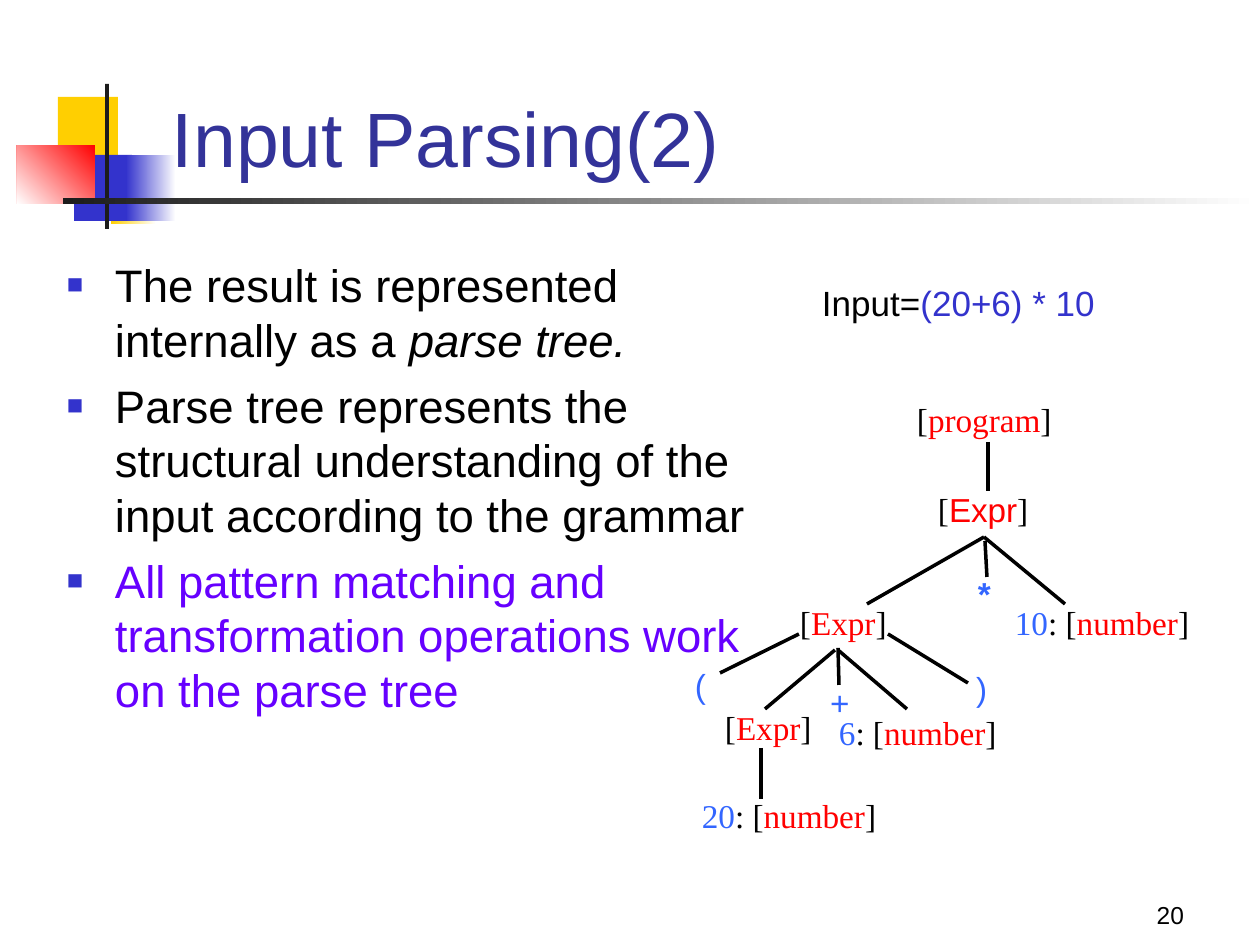
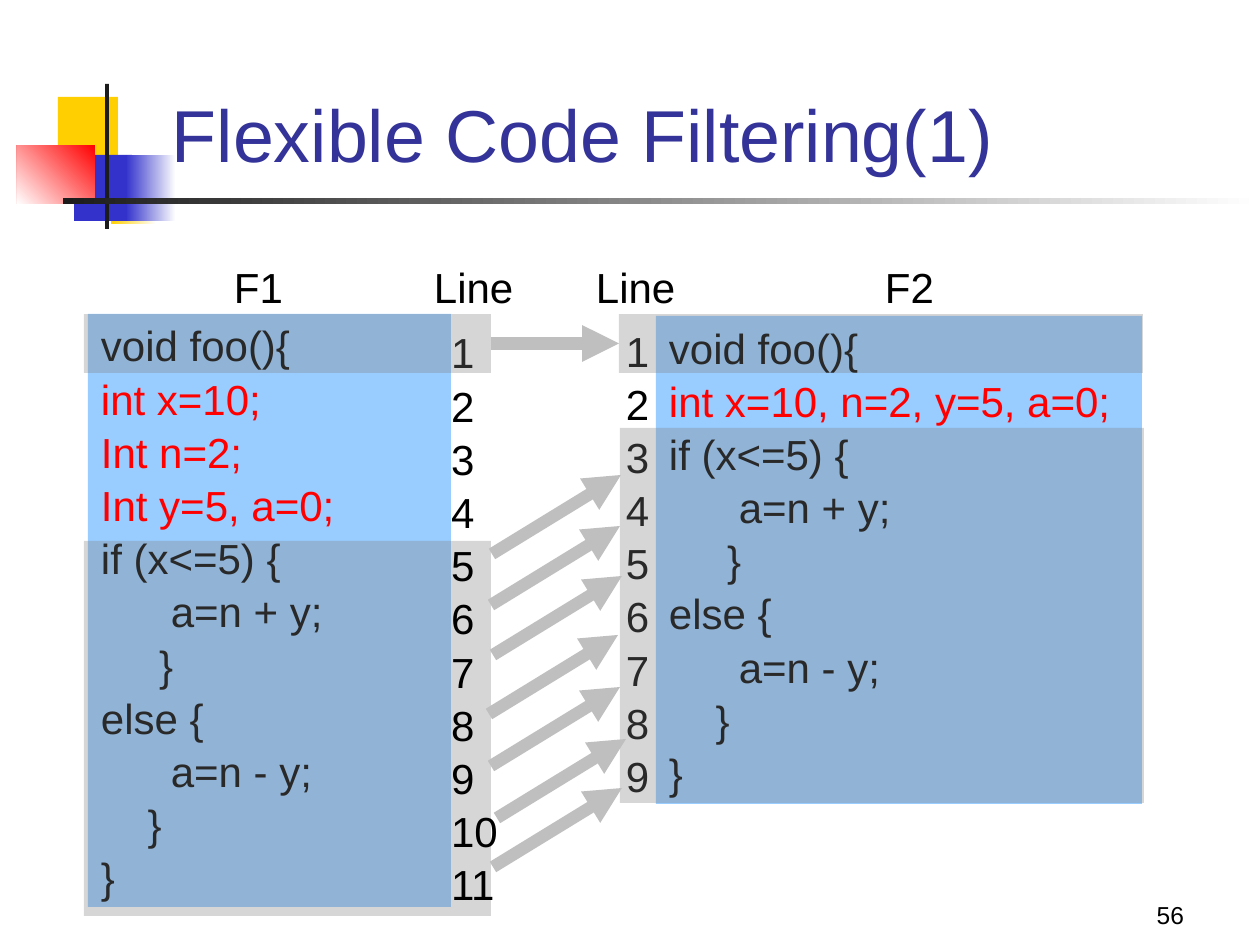
"""Builds two slides: a parse tree and a line matching between two code versions."""
from lxml import etree
from pptx import Presentation
from pptx import util as u
from pptx.dml.color import RGBColor
from pptx.enum import shapes, text
from pptx.oxml import ns

BLACK = RGBColor(0x00, 0x00, 0x00)
WHITE = RGBColor(0xFF, 0xFF, 0xFF)
RED = RGBColor(0xFF, 0x00, 0x00)
YELLOW = RGBColor(0xFF, 0xCF, 0x01)
BLUE = RGBColor(0x33, 0x33, 0xCC)
TITLE_BLUE = RGBColor(0x33, 0x33, 0x99)
TOKEN_BLUE = RGBColor(0x33, 0x66, 0xFF)
VIOLET = RGBColor(0x66, 0x00, 0xFF)
CODE_BLUE = RGBColor(0x99, 0xCC, 0xFF)
CHARCOAL = RGBColor(0x1C, 0x1C, 0x1C)
SHADE = RGBColor(0x80, 0x80, 0x80)
ARROW = RGBColor(0xBF, 0xBF, 0xBF)

SANS, SERIF = "Arial", "Times New Roman"
LEADING = 1.2
INSET_X, INSET_Y = 13, 6

EMBLEM = [
    ((58, 97, 60, 66), YELLOW, None, 0),
    ((111, 159, 45, 65), WHITE, YELLOW, 180),
    ((74, 155, 58, 66), BLUE, None, 0),
    ((126, 155, 50, 66), WHITE, BLUE, 180),
    ((17, 145, 78, 59), RED, WHITE, 225),
    ((105, 84, 4, 145), CHARCOAL, None, 0),
    ((63, 198, 1197, 6), WHITE, CHARCOAL, 180),
]
PAGE_BOX = (935, 872, 262, 63)

BULLETS = [
    [("The result is represented internally as a ", {}), ("parse tree.", {"italic": True})],
    [("Parse tree represents the structural understanding of the input according to the grammar", {})],
    [("All pattern matching and transformation operations work on the parse tree", {"color": VIOLET})],
]
INPUT = [("Input=", {}), ("(20+6) * 10", {"color": BLUE})]

TREE_NODES = [
    (917, 399, "", "program", SERIF),
    (938, 489, "", "Expr", SANS),
    (800, 602, "", "Expr", SERIF),
    (1015, 602, "10", "number", SERIF),
    (725, 707, "", "Expr", SERIF),
    (839, 712, "6", "number", SERIF),
    (702, 795, "20", "number", SERIF),
]
TREE_TOKENS = [(978, 573, "*", True), (695, 665, "(", False),
               (830, 682, "+", False), (976, 668, ")", False)]
TREE_EDGES = [
    (988, 442, 988, 491),
    (984, 537, 867, 604), (985, 541, 987, 577), (984, 537, 1065, 604),
    (799, 634, 720, 673), (835, 650, 765, 709), (838, 648, 839, 685),
    (838, 650, 907, 709), (888, 634, 968, 683),
    (761, 748, 761, 799),
]

SHARED_CODE = ["if (x<=5) {", "      a=n + y;", "     }", "else {",
               "      a=n - y;", "    }", "}"]
F1_CODE = ["void foo(){", "int x=10;", "Int n=2;", "Int y=5, a=0;"] + SHARED_CODE
F2_CODE = ["void foo(){", "int x=10, n=2, y=5, a=0;"] + SHARED_CODE
F1_BOX, F2_BOX = (88, 314, 363, 593), (656, 316, 486, 488)
F1_NUMBERS, F2_NUMBERS = (451, 321, 54, 593), (626, 319, 54, 488)
HEADINGS = [(234, "F1"), (434, "Line"), (596, "Line"), (885, "F2")]
BLOCK_SHADES = [(84, 541, 407, 375), (620, 428, 524, 375)]
FIRST_LINE_SHADES = [(84, 314, 407, 59), (619, 314, 524, 59)]
MATCH_STARTS = [(492, 554), (491, 605), (493, 655), (489, 714),
                (491, 766), (497, 818), (493, 867)]
MATCH_RUN, MATCH_RISE = 129, 79


def px(length):
    return u.Emu(round(length * 914400 / 126))


def add_bullet(paragraph):
    props = paragraph._p.get_or_add_pPr()
    props.set("marL", str(px(48)))
    props.set("indent", str(-px(48)))
    color = etree.SubElement(props, ns.qn("a:buClr"))
    etree.SubElement(color, ns.qn("a:srgbClr"), val=str(BLUE))
    etree.SubElement(props, ns.qn("a:buSzPct"), val="60000")
    etree.SubElement(props, ns.qn("a:buFont"), typeface=SANS)
    etree.SubElement(props, ns.qn("a:buChar"), char="■")


def write(slide, content, box, size=24, color=BLACK, font=SANS, align=text.PP_ALIGN.LEFT,
          anchor=text.MSO_ANCHOR.TOP, inset=(INSET_X, INSET_Y), before=0, bullet=False,
          host=None):
    """Write a string or a list of paragraphs, each a list of (words, format) runs."""
    holder = host or slide.shapes.add_textbox(*map(px, box))
    frame = holder.text_frame
    frame.word_wrap = True
    frame.vertical_anchor = anchor
    frame.margin_left = frame.margin_right = px(inset[0])
    frame.margin_top = frame.margin_bottom = px(inset[1])
    paragraphs = [[(content, {})]] if isinstance(content, str) else content
    for index, runs in enumerate(paragraphs):
        paragraph = frame.add_paragraph() if index else frame.paragraphs[0]
        if bullet:
            add_bullet(paragraph)
        paragraph.alignment = align
        paragraph.line_spacing = u.Pt(size * LEADING)
        if index:
            paragraph.space_before = u.Pt(before)
        for words, look in runs:
            run = paragraph.add_run()
            run.text = words
            run.font.size = u.Pt(size)
            run.font.name = look.get("font", font)
            run.font.color.rgb = look.get("color", color)
            run.font.bold = look.get("bold", False)
            run.font.italic = look.get("italic", False)


def add_block(slide, box, color, end_color=None, angle=0, opacity=100):
    block = slide.shapes.add_shape(shapes.MSO_SHAPE.RECTANGLE, *map(px, box))
    block.shadow.inherit = False
    block.line.fill.background()
    if end_color is None:
        block.fill.solid()
        block.fill.fore_color.rgb = color
    else:
        block.fill.gradient()
        block.fill.gradient_angle = angle
        for stop, shade, place in zip(block.fill.gradient_stops, (color, end_color), (0, 1)):
            stop.color.rgb = shade
            stop.position = place
    if opacity < 100:
        tint = block.fill._xPr.find(".//" + ns.qn("a:srgbClr"))
        etree.SubElement(tint, ns.qn("a:alpha"), val=str(opacity * 1000))
    return block


def add_line(slide, ends, color=BLACK, width=2, arrow=False):
    line = slide.shapes.add_connector(shapes.MSO_CONNECTOR.STRAIGHT, *map(px, ends))
    line.line.color.rgb = color
    line.line.width = u.Pt(width)
    if arrow:
        etree.SubElement(line.line._get_or_add_ln(), ns.qn("a:tailEnd"), type="triangle")
    etree.SubElement(line._element.spPr, ns.qn("a:effectLst"))
    return line


def start_slide(deck, title, title_box, title_size, page):
    slide = deck.slides.add_slide(deck.slide_layouts[6])
    for box, color, end_color, angle in EMBLEM:
        add_block(slide, box, color, end_color, angle)
    write(slide, page, PAGE_BOX, size=14, align=text.PP_ALIGN.RIGHT,
          anchor=text.MSO_ANCHOR.BOTTOM)
    write(slide, title, title_box, size=title_size, color=TITLE_BLUE,
          anchor=text.MSO_ANCHOR.BOTTOM)
    return slide


def build_parse_tree(deck):
    slide = start_slide(deck, "Input Parsing(2)", (159, 16, 1073, 173), 44, "20")
    write(slide, BULLETS, (54, 251, 745, 586), size=26, before=6.5, bullet=True)
    write(slide, [INPUT], (809, 275, 312, 55), size=20)
    for edge in TREE_EDGES:
        add_line(slide, edge)
    for x, y, value, symbol, font in TREE_NODES:
        runs = [(value, {"color": TOKEN_BLUE}), (": [", {})] if value else [("[", {})]
        runs += [(symbol, {"color": RED, "font": font}), ("]", {})]
        write(slide, [runs], (x, y, 190, 40), size=19, font=SERIF, inset=(0, 0))
    for x, y, token, bold in TREE_TOKENS:
        write(slide, [[(token, {"bold": bold})]], (x, y, 59, 40), size=19,
              color=TOKEN_BLUE, inset=(0, 0))


def add_code(slide, code, box):
    lines = [[(line, {"color": RED if line.lower().startswith("int ") else BLACK})]
             for line in code]
    write(slide, lines, box, before=1.6, host=add_block(slide, box, CODE_BLUE))


def add_line_numbers(slide, code, box):
    numbers = [[(str(number), {})] for number in range(1, len(code) + 1)]
    write(slide, numbers, box, before=1.6, inset=(0, INSET_Y))


def build_code_filtering(deck):
    slide = start_slide(deck, "Flexible Code Filtering(1)", (159, 20, 1072, 163), 42, "56")
    add_code(slide, F1_CODE, F1_BOX)
    for x, heading in HEADINGS:
        write(slide, heading, (x, 256, 100, 63), inset=(0, INSET_Y))
    add_line_numbers(slide, F2_CODE, F2_NUMBERS)
    add_code(slide, F2_CODE, F2_BOX)
    for box in BLOCK_SHADES:
        add_block(slide, box, SHADE, opacity=32)
    add_line_numbers(slide, F1_CODE, F1_NUMBERS)
    for x, y in MATCH_STARTS:
        add_line(slide, (x, y, x + MATCH_RUN, y - MATCH_RISE), ARROW, 7, arrow=True)
    first, second = [add_block(slide, box, SHADE, opacity=32) for box in FIRST_LINE_SHADES]
    match = add_line(slide, (491, 343, 619, 343), ARROW, 7, arrow=True)
    match.begin_connect(first, 3)
    match.end_connect(second, 1)


def main():
    deck = Presentation()
    deck.slide_width, deck.slide_height = px(1260), px(945)
    build_parse_tree(deck)
    build_code_filtering(deck)
    deck.save("out.pptx")


if __name__ == "__main__":
    main()
